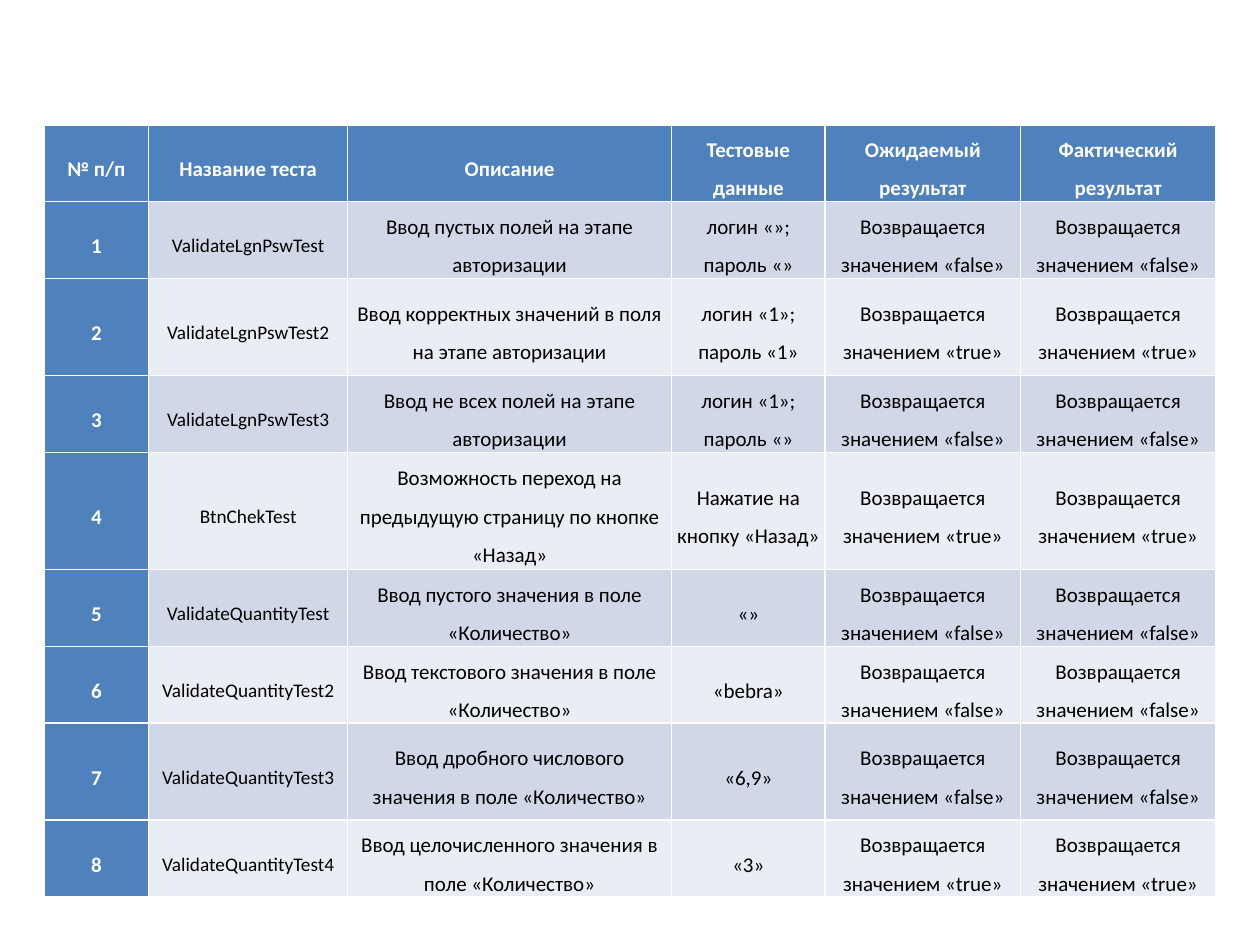
"""Builds a slide with a table of unit test cases and their results."""
from pptx import Presentation
from pptx.dml.color import RGBColor
from pptx.enum.text import MSO_ANCHOR, PP_ALIGN
from pptx.util import Inches, Pt

HEADERS = ["№ п/п", "Название теста", "Описание", "Тестовые данные",
           "Ожидаемый результат", "Фактический результат"]
TESTS = [
    ("ValidateLgnPswTest", "Ввод пустых полей на этапе авторизации",
     "логин «»; пароль «»", "false"),
    ("ValidateLgnPswTest2", "Ввод корректных значений в поля на этапе авторизации",
     "логин «1»; пароль «1»", "true"),
    ("ValidateLgnPswTest3", "Ввод не всех полей на этапе авторизации",
     "логин «1»; пароль «»", "false"),
    ("BtnChekTest", "Возможность переход на предыдущую страницу по кнопке «Назад»",
     "Нажатие на кнопку «Назад»", "true"),
    ("ValidateQuantityTest", "Ввод пустого значения в поле «Количество»",
     "«»", "false"),
    ("ValidateQuantityTest2", "Ввод текстового значения в поле «Количество»",
     "«bebra»", "false"),
    ("ValidateQuantityTest3", "Ввод дробного числового значения в поле «Количество»",
     "«6,9»", "false"),
    ("ValidateQuantityTest4", "Ввод целочисленного значения в поле «Количество»",
     "«3»", "true"),
]
COLUMN_WIDTHS = [0.83, 1.58, 2.57, 1.22, 1.55, 1.55]
ROW_HEIGHTS = [0.53, 0.61, 0.77, 0.61, 0.93, 0.61, 0.61, 0.77, 0.61]
COLORS = {"heading": "4F81BD", "odd": "D0D8E8", "even": "E9EDF4",
          "heading_text": "FFFFFF", "text": "000000"}
NAME_COLUMN = 1


def color(name):
    return RGBColor.from_string(COLORS[name])


def format_cell(cell, text, row, column):
    is_heading = row == 0 or column == 0
    band = "odd" if row % 2 else "even"
    cell.fill.solid()
    cell.fill.fore_color.rgb = color("heading" if is_heading else band)
    cell.vertical_anchor = MSO_ANCHOR.MIDDLE
    cell.margin_left = cell.margin_right = Inches(0.04)
    cell.margin_top = cell.margin_bottom = 0
    cell.text = text
    paragraph = cell.text_frame.paragraphs[0]
    paragraph.alignment = PP_ALIGN.CENTER
    paragraph.line_spacing = 1.5
    font = paragraph.runs[0].font
    font.name = "Calibri"
    font.size = Pt(11 if column == NAME_COLUMN and not is_heading else 12)
    font.bold = is_heading
    font.color.rgb = color("heading_text" if is_heading else "text")


rows = [HEADERS]
for number, (name, description, data, value) in enumerate(TESTS, 1):
    result = f"Возвращается значением «{value}»"
    rows.append([str(number), name, description, data, result, result])

presentation = Presentation()
presentation.slide_width, presentation.slide_height = Inches(10), Inches(7.5)
slide = presentation.slides.add_slide(presentation.slide_layouts[6])
table = slide.shapes.add_table(
    len(rows), len(HEADERS), Inches(0.35), Inches(0.99),
    Inches(sum(COLUMN_WIDTHS)), Inches(sum(ROW_HEIGHTS))).table
table.first_col = True
for column, width in zip(table.columns, COLUMN_WIDTHS):
    column.width = Inches(width)
for row, height in zip(table.rows, ROW_HEIGHTS):
    row.height = Inches(height)
for row_index, texts in enumerate(rows):
    for column_index, text in enumerate(texts):
        format_cell(table.cell(row_index, column_index), text, row_index, column_index)

presentation.save("out.pptx")
